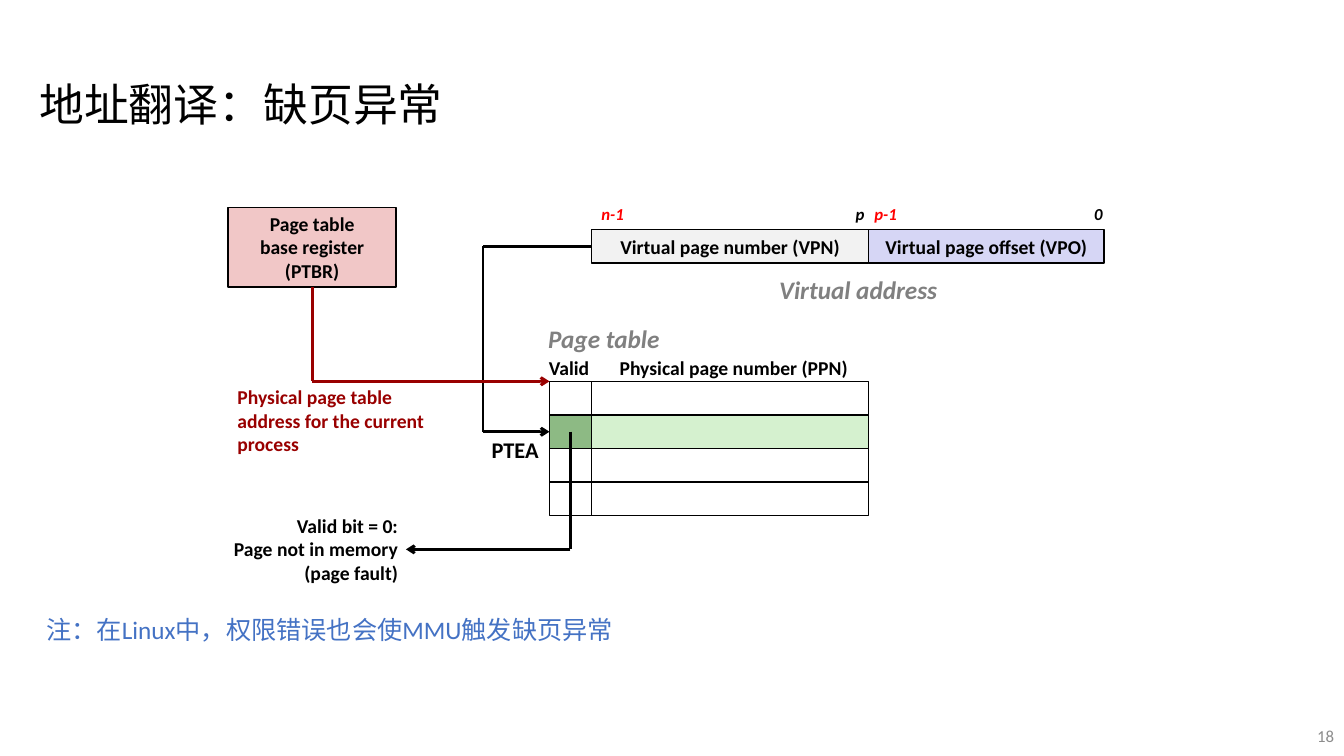
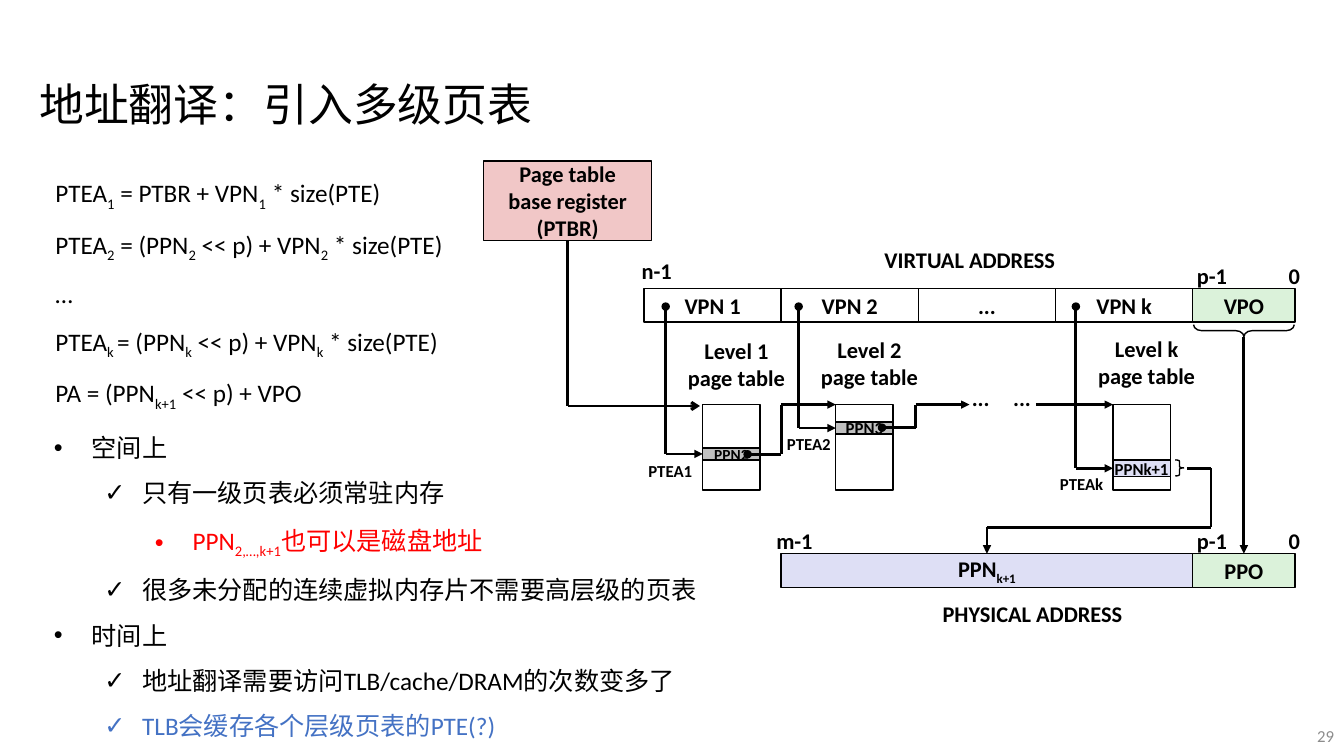
from dataclasses import dataclass

from lxml import etree
from pptx import Presentation
from pptx.dml.color import RGBColor
from pptx.enum.shapes import MSO_CONNECTOR as CONN, MSO_SHAPE as SHAPE
from pptx.enum.text import MSO_ANCHOR as ANCHOR, MSO_AUTO_SIZE as AUTO, PP_ALIGN as ALIGN
from pptx.oxml.ns import qn
from pptx.util import Pt


@dataclass(frozen=True)
class Theme:
    font: str = "Calibri"
    ink: str = "000000"
    muted: str = "808080"
    footer: str = "8C8C8C"
    red: str = "FF0000"
    dark_red: str = "990000"
    blue: str = "4472C4"
    register: str = "F1C7C7"
    pale: str = "F2F2F2"
    lilac: str = "D6D6F5"
    lavender: str = "DEDFF5"
    mint: str = "DBF2DA"
    hit: str = "D5F1CF"
    hit_dark: str = "8DBA84"
    entry: str = "C0C0C0"
    title: int = 32
    body: int = 18
    label: int = 16
    small: int = 14
    tiny: int = 12
    entry_size: int = 11
    border: int = 1
    wire: int = 2


T = Theme()
REGISTER = ["Page table", "base register", "(PTBR)"]
LEFT, RIGHT, CENTER = ALIGN.LEFT, ALIGN.RIGHT, ALIGN.CENTER


def rgb(value):
    return RGBColor.from_string(value)


def add_runs(p, text, size, color, bold=False, italic=False):
    for i, part in enumerate(text.split("~")):
        if not part:
            continue
        r = p.add_run()
        r.text = part
        r.font.name = T.font
        r.font.size = Pt(size)
        r.font.bold = bold
        r.font.italic = italic
        r.font.color.rgb = rgb(color)
        if i % 2:
            r._r.get_or_add_rPr().set("baseline", "-25000")


def write(tf, lines, size, color, align, bold=False, italic=False, spacing=None):
    for i, line in enumerate(lines):
        p = tf.add_paragraph() if i else tf.paragraphs[0]
        p.alignment = align
        if spacing:
            p.line_spacing = spacing
        add_runs(p, line, size, color, bold, italic)


def add_text(s, box, lines, size, color=T.ink, align=LEFT, anchor=ANCHOR.TOP,
             wrap=False, **style):
    tf = s.shapes.add_textbox(*map(Pt, box)).text_frame
    tf.word_wrap = wrap
    tf.auto_size = AUTO.SHAPE_TO_FIT_TEXT
    tf.vertical_anchor = anchor
    write(tf, lines, size, color, align, **style)


def add_label(s, box, lines, size=T.label, **style):
    add_text(s, box, lines, size, align=CENTER, anchor=ANCHOR.MIDDLE, bold=True, **style)


def add_shape(s, kind, box, fill=None):
    sp = s.shapes.add_shape(kind, *map(Pt, box))
    sp.shadow.inherit = False
    sp.line.color.rgb = rgb(T.ink)
    sp.line.width = Pt(T.border)
    if fill:
        sp.fill.solid()
        sp.fill.fore_color.rgb = rgb(fill)
    else:
        sp.fill.background()
    return sp


def add_box(s, box, lines=(), fill=None, size=T.label):
    sp = add_shape(s, SHAPE.RECTANGLE, box, fill)
    tf = sp.text_frame
    tf.word_wrap = False
    tf.vertical_anchor = ANCHOR.MIDDLE
    write(tf, lines, size, T.ink, CENTER, bold=True)
    return sp


def add_brace(s, box, bend, rotation=0):
    sp = add_shape(s, SHAPE.RIGHT_BRACE, box)
    sp.adjustments[0] = bend
    sp.rotation = rotation


def point(spot):
    sp, side = spot
    if isinstance(sp, (int, float)):
        return Pt(sp), Pt(side)
    mid_x, mid_y = sp.left + sp.width // 2, sp.top + sp.height // 2
    return [(mid_x, sp.top), (sp.left, mid_y),
            (mid_x, sp.top + sp.height), (sp.left + sp.width, mid_y)][side]


def add_route(s, *spots, color=T.ink, head=None, tail=None):
    last = len(spots) - 2
    for i, (start, end) in enumerate(zip(spots, spots[1:])):
        c = s.shapes.add_connector(CONN.STRAIGHT, *point(start), *point(end))
        c.line.color.rgb = rgb(color)
        c.line.width = Pt(T.wire)
        if not isinstance(start[0], (int, float)):
            c.begin_connect(*start)
        if not isinstance(end[0], (int, float)):
            c.end_connect(*end)
        ln = c.line._get_or_add_ln()
        if head and i == 0:
            etree.SubElement(ln, qn("a:headEnd")).set("type", head)
        if tail and i == last:
            etree.SubElement(ln, qn("a:tailEnd")).set("type", tail)
        etree.SubElement(c._element.spPr, qn("a:effectLst"))


def add_bullets(s, box, items):
    tf = s.shapes.add_textbox(*map(Pt, box)).text_frame
    tf.word_wrap = True
    for i, (level, text, color) in enumerate(items):
        p = tf.add_paragraph() if i else tf.paragraphs[0]
        p.level = level
        p.line_spacing = 1.5
        pPr = p._p.get_or_add_pPr()
        pPr.set("marL", str(Pt(27 + 36 * level)))
        pPr.set("indent", str(Pt(-27)))
        etree.SubElement(pPr, qn("a:buFont")).set("typeface", "Arial")
        etree.SubElement(pPr, qn("a:buChar")).set("char", "✓" if level == 1 else "•")
        add_runs(p, text, T.body, color)


def new_slide(prs, title, number):
    s = prs.slides.add_slide(prs.slide_layouts[6])
    add_text(s, (744, 511, 216, 29), [number], T.tiny, T.footer, RIGHT,
             ANCHOR.MIDDLE, wrap=True)
    add_text(s, (21, 51, 425.5, 46), [title], T.title, wrap=True)
    return s


def build_page_fault(prs):
    s = new_slide(prs, "地址翻译：缺页异常", "18")
    valid_x, vpn_x, vpo_x = 392.5, 422.5, 620.5
    vpn_w, row_h, table_y = vpo_x - vpn_x, 24, 272.4

    vpn = add_box(s, (vpn_x, 164, vpn_w, row_h), ["Virtual page number (VPN)"], T.pale, T.small)
    add_box(s, (vpo_x, 164, 168, row_h), ["Virtual page offset (VPO)"], T.lilac, T.small)
    valid_cells = []
    for row in range(4):
        y = table_y + row * row_h
        hit = row == 1
        add_box(s, (vpn_x, y, vpn_w, row_h), fill=T.hit if hit else None)
        valid_cells.append(add_box(s, (valid_x, y, vpn_x - valid_x, row_h),
                                   fill=T.hit_dark if hit else None))
    ptbr = add_box(s, (163, 148, 120, 57), REGISTER, T.register, T.small)

    hit_y = table_y + 1.5 * row_h
    add_route(s, (vpn, 1), (345, 176), (345, hit_y), (valid_cells[1], 1), tail="arrow")
    add_route(s, (407.5, hit_y), (407.5, 392.4), (290, 392.4), tail="arrow")
    add_route(s, (ptbr, 2), (223, table_y), (valid_x, table_y), color=T.dark_red, tail="arrow")

    for box, text in [((549.5, 192.5, 128, 29), "Virtual address"),
                      ((384.5, 227.5, 102, 29), "Page table")]:
        add_text(s, box, [text], T.body, T.muted, bold=True, italic=True)
    for x, w, text, color in [(774.5, 24, "0", T.ink), (617.5, 31, "p-1", T.red),
                              (604, 24, "p", T.ink), (422.5, 31, "n-1", T.red)]:
        add_text(s, (x, 142, w, 21.5), [text], T.tiny, color, bold=True, italic=True)
    for box, lines, size, color, align in [
        ((385, 251, 44, 24.5), ["Valid"], T.small, T.ink, LEFT),
        ((435.5, 251, 178.5, 24.5), ["Physical page number (PPN)"], T.small, T.ink, LEFT),
        ((162.5, 271.5, 150, 58), ["Physical page table", "address for the current", "process"],
         T.small, T.dark_red, LEFT),
        ((159, 363.5, 132.5, 58), ["Valid bit = 0:", "Page not in memory", "(page fault)"],
         T.small, T.ink, RIGHT),
        ((344, 308, 48, 26.5), ["PTEA"], T.label, T.ink, LEFT),
    ]:
        add_text(s, box, lines, size, color, align, bold=True)
    add_text(s, (26, 435.5, 423.5, 29), ["注：在Linux中，权限错误也会使MMU触发缺页异常"],
             T.body, T.blue, wrap=True)


def add_level(s, x, entry, size, fill, y, h, level, level_y, pte, pte_box):
    add_box(s, (x, 289, 41, 61))
    sp = add_box(s, (x, y, 41, h), [entry], fill, size)
    add_route(s, (x - 26.5, 219), (x - 26.5, y + h / 2), (sp, 1), head="oval", tail="triangle")
    add_label(s, (x - 18, level_y, 84, 46), [level, "page table"])
    add_text(s, (*pte_box, 46, 21.5), [pte], T.tiny, bold=True)


def build_multi_level(prs):
    s = new_slide(prs, "地址翻译：引入多级页表", "29")
    virtual_y, physical_y, table_y, row_h = 206, 395.5, 289, 24
    cell_x, cell_w, offset_x, offset_w = 460, 98, 852, 73

    ptbr = add_box(s, (345.5, 115, 120, 57), REGISTER, T.register)
    add_route(s, (ptbr, 2), (405.5, 290), (500, 290), tail="arrow")
    for i, text in enumerate(["VPN 1", "VPN 2", "...", "VPN k"]):
        add_box(s, (cell_x + i * cell_w, virtual_y, cell_w, row_h), [text])
    add_box(s, (offset_x, virtual_y, offset_w, row_h), ["VPO"], T.mint)
    ppo = add_box(s, (offset_x, physical_y, offset_w, row_h), ["PPO"], T.mint)
    ppn_x = cell_x + cell_w
    ppn = add_box(s, (ppn_x, physical_y, offset_x - ppn_x, row_h), ["PPN~k+1~"], T.lavender)

    for level in [
        (502, "PPN2", T.entry_size, T.entry, 320, 8.5, "Level 1", 237, "PTEA1", (456, 325.5)),
        (597, "PPN3", T.tiny, T.entry, 301.5, 8.5, "Level 2", 236, "PTEA2", (555, 306.5)),
        (795, "PPNk+1", T.tiny, T.lavender, 328.5, 12, "Level k", 235.5, "PTEAk", (750, 335)),
    ]:
        add_level(s, *level)

    for start, turn, end, y in [(534, 558, 597, 324.5), (630, 654, 692.5, 305.5)]:
        add_route(s, (start, y), (turn, y), (turn, table_y), (end, table_y),
                  head="oval", tail="triangle")
    add_route(s, (740, table_y), (795, table_y), tail="triangle")
    add_route(s, (888.5, 240.5), (ppo, 0), tail="triangle")
    add_route(s, (848, 334.5), (865, 334.5), (865, 376.5), (705, 376.5), (ppn, 0),
              tail="triangle")
    add_brace(s, (884.2, 200.2, 8.6, 72), 0.68, 90)
    add_brace(s, (839.5, 328.5, 6, 11.5), 0.16)

    for y in (183.5, 373):
        add_label(s, (913, y, 23, 26.5), ["0"])
        add_label(s, (847.5, y, 36.5, 26.5), ["p-1"])
    for box, text in [((450.5, 180, 37, 26.5), "n-1"), ((547, 373, 41, 26.5), "m-1"),
                      ((623, 172, 139.5, 26.5), "VIRTUAL ADDRESS"),
                      ((662.5, 425, 150, 26.5), "PHYSICAL ADDRESS"),
                      ((687, 270.5, 27, 26.5), "..."), ((716.5, 270.5, 27, 26.5), "...")]:
        add_label(s, box, [text])

    add_bullets(s, (31.5, 294.5, 601, 232.5), [
        (0, "空间上", T.ink),
        (1, "只有一级页表必须常驻内存", T.ink),
        (2, "PPN~2,…,k+1~也可以是磁盘地址", T.red),
        (1, "很多未分配的连续虚拟内存片不需要高层级的页表", T.ink),
        (0, "时间上", T.ink),
        (1, "地址翻译需要访问TLB/cache/DRAM的次数变多了", T.ink),
        (1, "TLB会缓存各个层级页表的PTE(?)", T.blue),
    ])
    add_text(s, (32.5, 111, 296.5, 168), [
        "PTEA~1~ = PTBR + VPN~1~ * size(PTE)",
        "PTEA~2~ = (PPN~2~ << p) + VPN~2~ * size(PTE)",
        "…",
        "PTEA~k ~= (PPN~k~ << p) + VPN~k~ * size(PTE)",
        "PA = (PPN~k+1~ << p) + VPO",
    ], T.body, spacing=1.5)


def main():
    prs = Presentation()
    prs.slide_width, prs.slide_height = Pt(960), Pt(540)
    build_page_fault(prs)
    build_multi_level(prs)
    prs.save("out.pptx")


if __name__ == "__main__":
    main()
